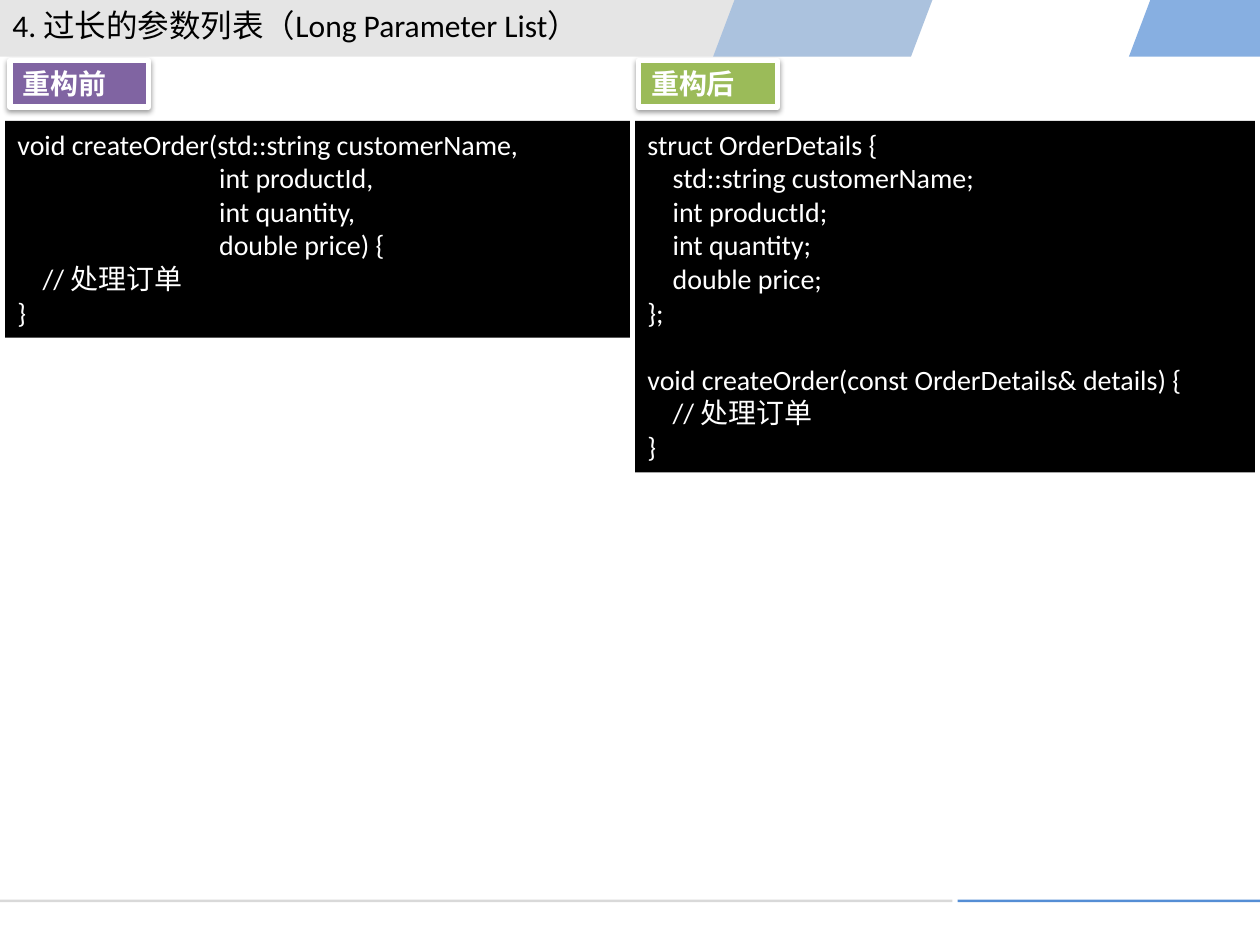
import pptx
import pptx.dml.color
import pptx.enum.shapes
import pptx.enum.text
import pptx.oxml
import pptx.oxml.ns
import pptx.util
import lxml.etree

RGB = pptx.dml.color.RGBColor
BLACK = RGB(0x00, 0x00, 0x00)
WHITE = RGB(0xFF, 0xFF, 0xFF)
BLUE = RGB(0x55, 0x8E, 0xD5)
GREY = RGB(0xBF, 0xBF, 0xBF)
LIGHT_GREY = RGB(0xD9, 0xD9, 0xD9)
PURPLE = RGB(0x80, 0x64, 0xA2)
GREEN = RGB(0x9B, 0xBB, 0x59)

LABEL_SHADOW = (
    '<a:effectLst %s><a:outerShdw blurRad="39400" dist="20300" dir="5400000" '
    'rotWithShape="0"><a:srgbClr val="000000"><a:alpha val="38000"/></a:srgbClr>'
    '</a:outerShdw></a:effectLst>' % pptx.oxml.ns.nsdecls("a"))

CODE_BEFORE = """void createOrder(std::string customerName,
                                int productId,
                                int quantity,
                                double price) {
    // 处理订单
}"""
CODE_AFTER = """struct OrderDetails {
    std::string customerName;
    int productId;
    int quantity;
    double price;
};

void createOrder(const OrderDetails& details) {
    // 处理订单
}"""

deck = pptx.Presentation()
deck.slide_width = pptx.util.Inches(10)
deck.slide_height = pptx.util.Inches(7.5)
page = deck.slides.add_slide(deck.slide_layouts[6])

# Grid of 100 columns by 75 rows
COL = deck.slide_width / 100
ROW = deck.slide_height / 75
BAND = 4.5
SLANT = 1.7


def add_block(left, top, width, height, fill):
    box = page.shapes.add_shape(
        pptx.enum.shapes.MSO_SHAPE.RECTANGLE,
        round(left * COL), round(top * ROW), round(width * COL), round(height * ROW))
    box.shadow.inherit = False
    box.fill.solid()
    box.fill.fore_color.rgb = fill
    box.line.fill.background()
    return box


def write(box, text, size=16, color=WHITE, bold=False, wrap=True,
          anchor=pptx.enum.text.MSO_ANCHOR.TOP):
    frame = box.text_frame
    frame.word_wrap = wrap
    frame.vertical_anchor = anchor
    for index, line in enumerate(text.split("\n")):
        para = frame.paragraphs[0] if index == 0 else frame.add_paragraph()
        para.alignment = pptx.enum.text.PP_ALIGN.LEFT
        if not line:  # an empty line of code keeps the size of its neighbours
            end = lxml.etree.SubElement(para._p, pptx.oxml.ns.qn("a:endParaRPr"))
            end.set("sz", str(size * 100))
            continue
        span = para.add_run()
        span.text = line
        span.font.name = "Calibri"
        span.font.size = pptx.util.Pt(size)
        span.font.bold = bold
        span.font.color.rgb = color


# Header band: top-left, top-right, bottom-right, bottom-left columns
for corners, color, opacity in (
        ((91.3, 100, 100, 91.3 - SLANT), BLUE, 70),
        ((0, 74, 74 - SLANT, 0), GREY, 40),
        ((58.3, 74, 74 - SLANT, 58.3 - SLANT), BLUE, 40)):
    points = [(round(x * COL), round(y * ROW))
              for x, y in zip(corners, (0, 0, BAND, BAND))]
    outline = page.shapes.build_freeform(*points[0], scale=1.0)
    outline.add_line_segments(points[1:], close=True)
    band = outline.convert_to_shape()
    band.shadow.inherit = False
    band.fill.solid()
    band.fill.fore_color.rgb = color
    band.line.fill.background()
    tint = band._element.spPr.find(".//" + pptx.oxml.ns.qn("a:srgbClr"))
    alpha = lxml.etree.SubElement(tint, pptx.oxml.ns.qn("a:alpha"))
    alpha.set("val", str(opacity * 1000))

# Footer rules
add_block(0, 71.4, 75.6, 0.2, LIGHT_GREY)
add_block(76, 71.4, 24, 0.2, BLUE)

# Title
title = page.shapes.add_textbox(0, 0, round(60.2 * COL), round(4 * ROW))
write(title, "4. 过长的参数列表（Long Parameter List）", size=18, color=BLACK)

# Code before and after, each under its label
for left, width, height, code, label_left, label, color in (
        (0.4, 49.6, 17.2, CODE_BEFORE, 0.8, "重构前", PURPLE),
        (50.4, 49.2, 27.9, CODE_AFTER, 50.7, "重构后", GREEN)):
    write(add_block(left, 9.6, width, height, BLACK), code)
    tag = add_block(label_left, 4.8, 11, 3.7, color)
    tag.line.color.rgb = WHITE
    tag.line.width = pptx.util.Pt(3)
    properties = tag._element.spPr
    properties.replace(properties.find(pptx.oxml.ns.qn("a:effectLst")),
                       pptx.oxml.parse_xml(LABEL_SHADOW))
    write(tag, label, bold=True, anchor=pptx.enum.text.MSO_ANCHOR.MIDDLE)

deck.save("out.pptx")
